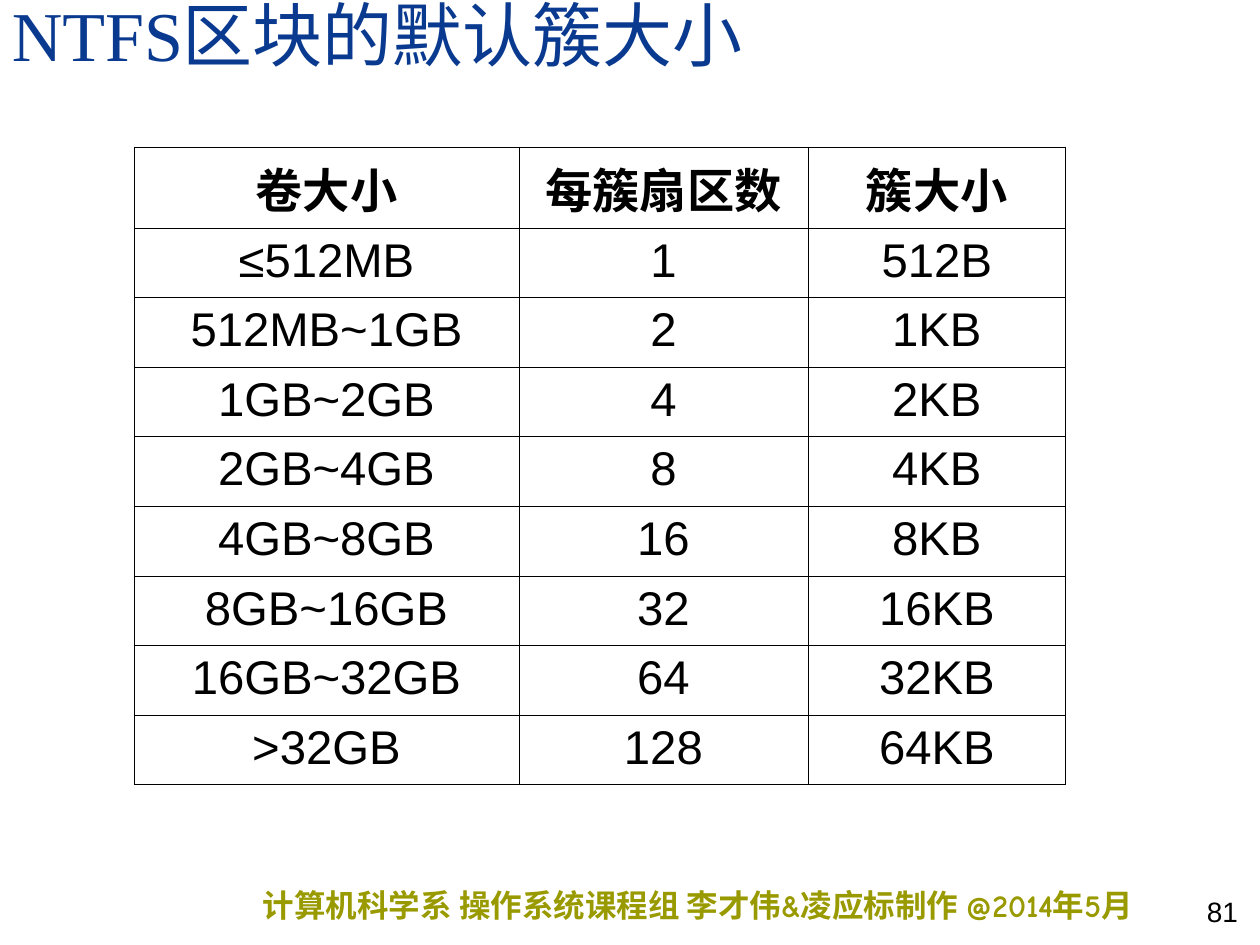
from lxml.etree import SubElement
from pptx import Presentation
from pptx.dml.color import RGBColor
from pptx.enum.lang import MSO_LANGUAGE_ID as LANG
from pptx.enum.text import MSO_ANCHOR as ANCHOR, PP_ALIGN as ALIGN
from pptx.oxml.ns import qn
from pptx.util import Emu, Pt

PX = 914400 // 126
SLIDE_SIZE = (1260, 945)

TITLE = dict(
    text="NTFS区块的默认簇大小", box=(0, 0, 1260, 81), margin=12,
    font=dict(name="Times New Roman", size=40, color="0A3A90"),
    paragraph=dict(line_spacing=0.8), anchor=ANCHOR.BOTTOM)
FOOTER = dict(
    text="计算机科学系 操作系统课程组 李才伟&凌应标制作 @2014年5月",
    box=(263, 880, 922, 50), margin=0,
    font=dict(name="Comic Neue", size=18, color="999900", bold=True),
    paragraph=dict(alignment=ALIGN.LEFT), anchor=ANCHOR.TOP)
PAGE_NUMBER = dict(
    text="81", box=(1050, 871, 200, 63), margin=12,
    font=dict(name="Arial", size=16, color="000000"),
    paragraph=dict(alignment=ALIGN.RIGHT), anchor=ANCHOR.BOTTOM)

CLUSTER_SIZES = [
    ("卷大小", "每簇扇区数", "簇大小"),
    ("≤512MB", "1", "512B"),
    ("512MB~1GB", "2", "1KB"),
    ("1GB~2GB", "4", "2KB"),
    ("2GB~4GB", "8", "4KB"),
    ("4GB~8GB", "16", "8KB"),
    ("8GB~16GB", "32", "16KB"),
    ("16GB~32GB", "64", "32KB"),
    (">32GB", "128", "64KB"),
]
TABLE_ORIGIN = (134, 147)
TABLE_HEIGHT, HEADER_HEIGHT = 638, 81
COLUMN_WIDTHS = (385, 289, 258)
CELL_FONT = dict(name="Arial", size=27, color="000000")
BORDER_COLOR, BORDER_PT = "000000", 0.45


def px(*lengths):
    return [Emu(length * PX) for length in lengths]


def rgb(hex_color):
    return RGBColor.from_string(hex_color)


def write(frame, text, font, paragraph):
    line = frame.paragraphs[0]
    for key, value in paragraph.items():
        setattr(line, key, value)
    run = line.add_run()
    run.text = text
    run.font.language_id = LANG.SIMPLIFIED_CHINESE
    run.font.name = font["name"]
    run.font.size = Pt(font["size"])
    run.font.bold = font.get("bold", False)
    run.font.color.rgb = rgb(font["color"])


def add_label(slide, text, box, margin, font, paragraph, anchor):
    frame = slide.shapes.add_textbox(*px(*box)).text_frame
    frame.word_wrap = True
    frame.vertical_anchor = anchor
    frame.margin_left, frame.margin_right = px(margin, margin)
    write(frame, text, font, paragraph)


def add_borders(cell):
    properties = cell._tc.get_or_add_tcPr()
    for order, side in enumerate(("a:lnL", "a:lnR", "a:lnT", "a:lnB")):
        border = SubElement(properties, qn(side), w=str(Pt(BORDER_PT)))
        fill = SubElement(border, qn("a:solidFill"))
        SubElement(fill, qn("a:srgbClr"), val=BORDER_COLOR)
        properties.insert(order, border)


def add_cluster_table(slide):
    table = slide.shapes.add_table(
        len(CLUSTER_SIZES), len(COLUMN_WIDTHS),
        *px(*TABLE_ORIGIN, sum(COLUMN_WIDTHS), TABLE_HEIGHT)).table
    table.first_row = table.horz_banding = False
    for column, width in zip(table.columns, px(*COLUMN_WIDTHS)):
        column.width = width
    header_height, body_height = px(HEADER_HEIGHT, TABLE_HEIGHT - HEADER_HEIGHT)
    for row, entries in enumerate(CLUSTER_SIZES):
        is_header = row == 0
        table.rows[row].height = (
            header_height if is_header
            else Emu(body_height // (len(CLUSTER_SIZES) - 1)))
        for column, entry in enumerate(entries):
            cell = table.cell(row, column)
            cell.fill.background()
            add_borders(cell)
            write(cell.text_frame, entry, dict(CELL_FONT, bold=is_header),
                  dict(alignment=ALIGN.CENTER))


def main():
    deck = Presentation()
    deck.slide_width, deck.slide_height = px(*SLIDE_SIZE)
    slide = deck.slides.add_slide(deck.slide_layouts[6])
    for label in (FOOTER, PAGE_NUMBER, TITLE):
        add_label(slide, **label)
    add_cluster_table(slide)
    deck.save("out.pptx")


if __name__ == "__main__":
    main()
